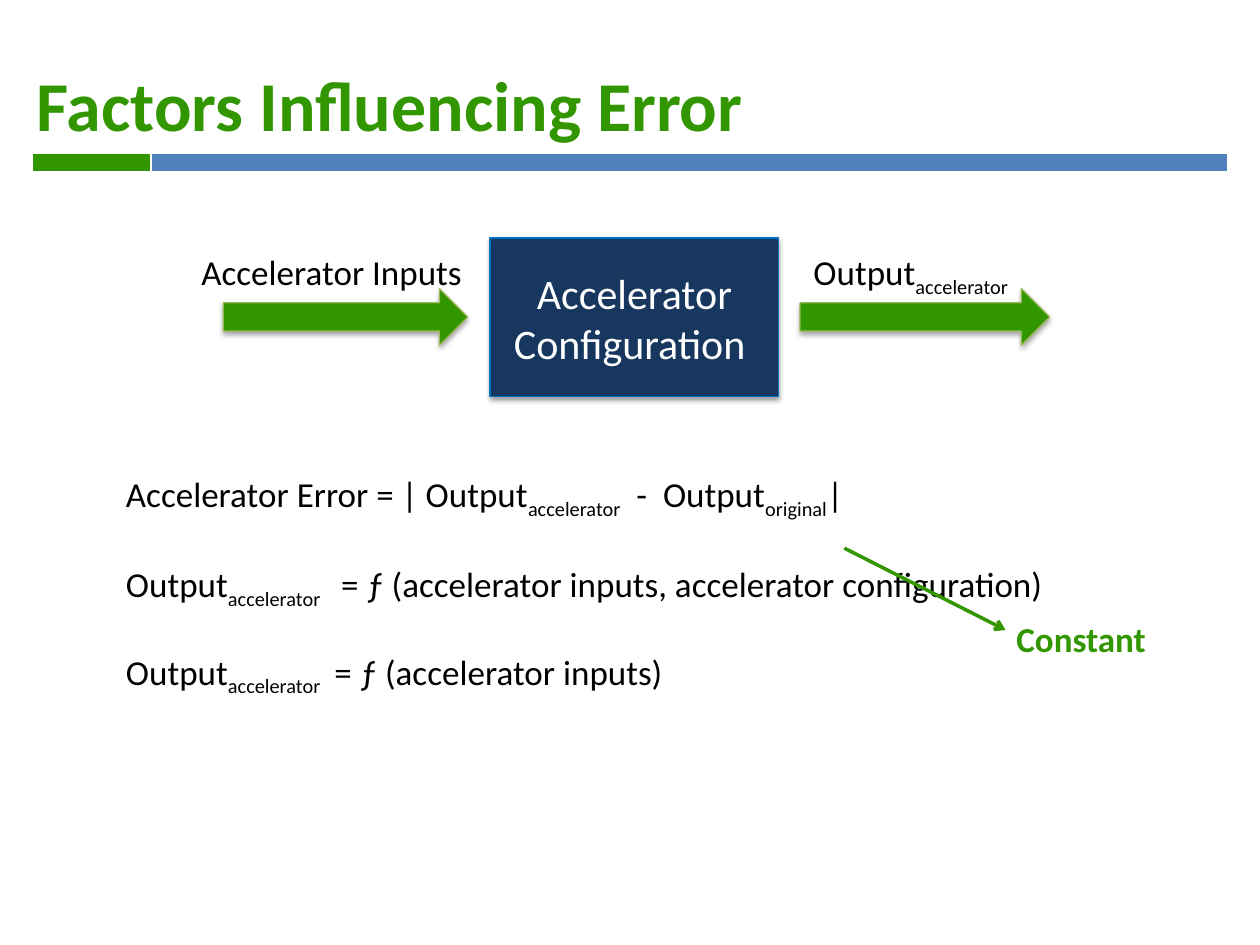
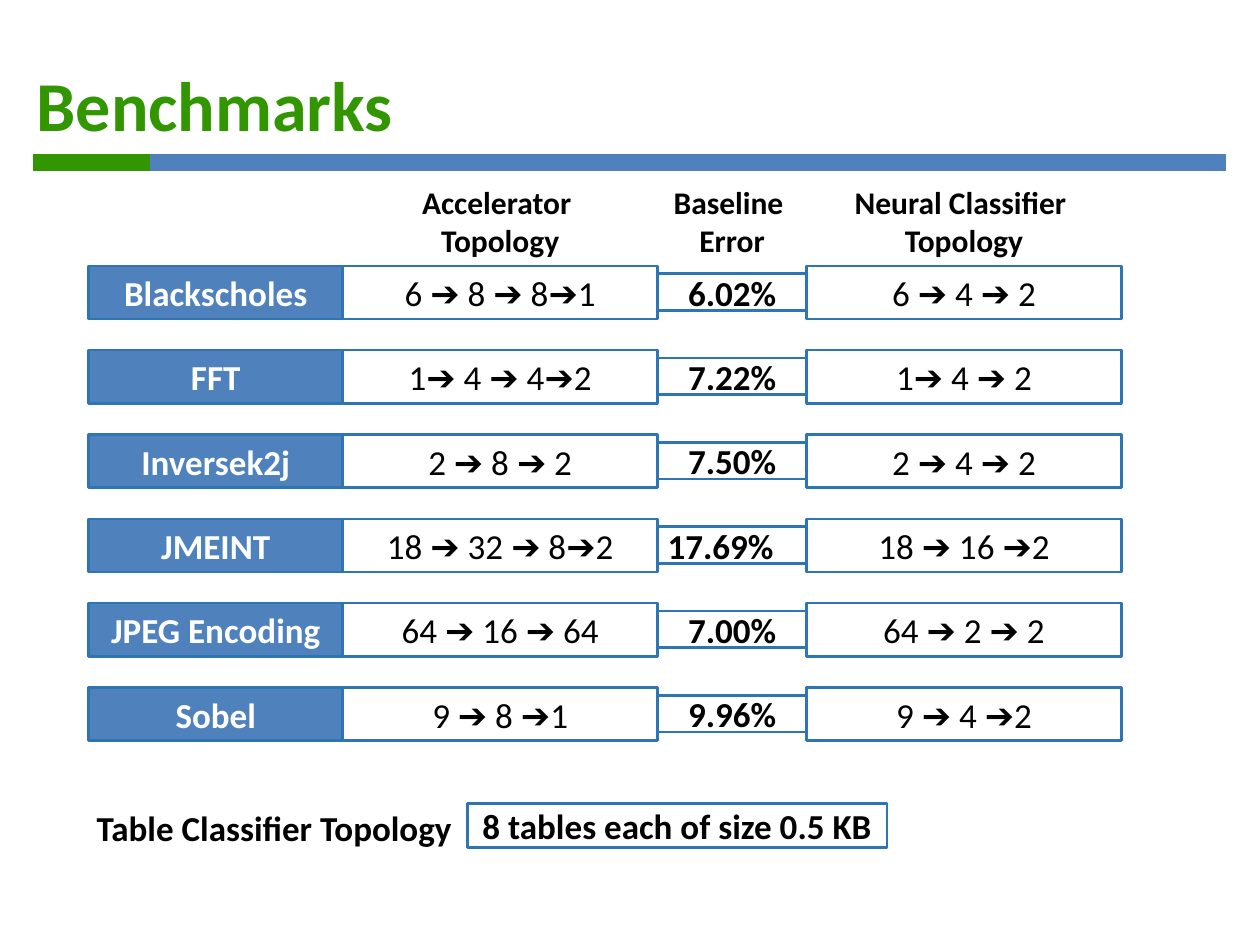
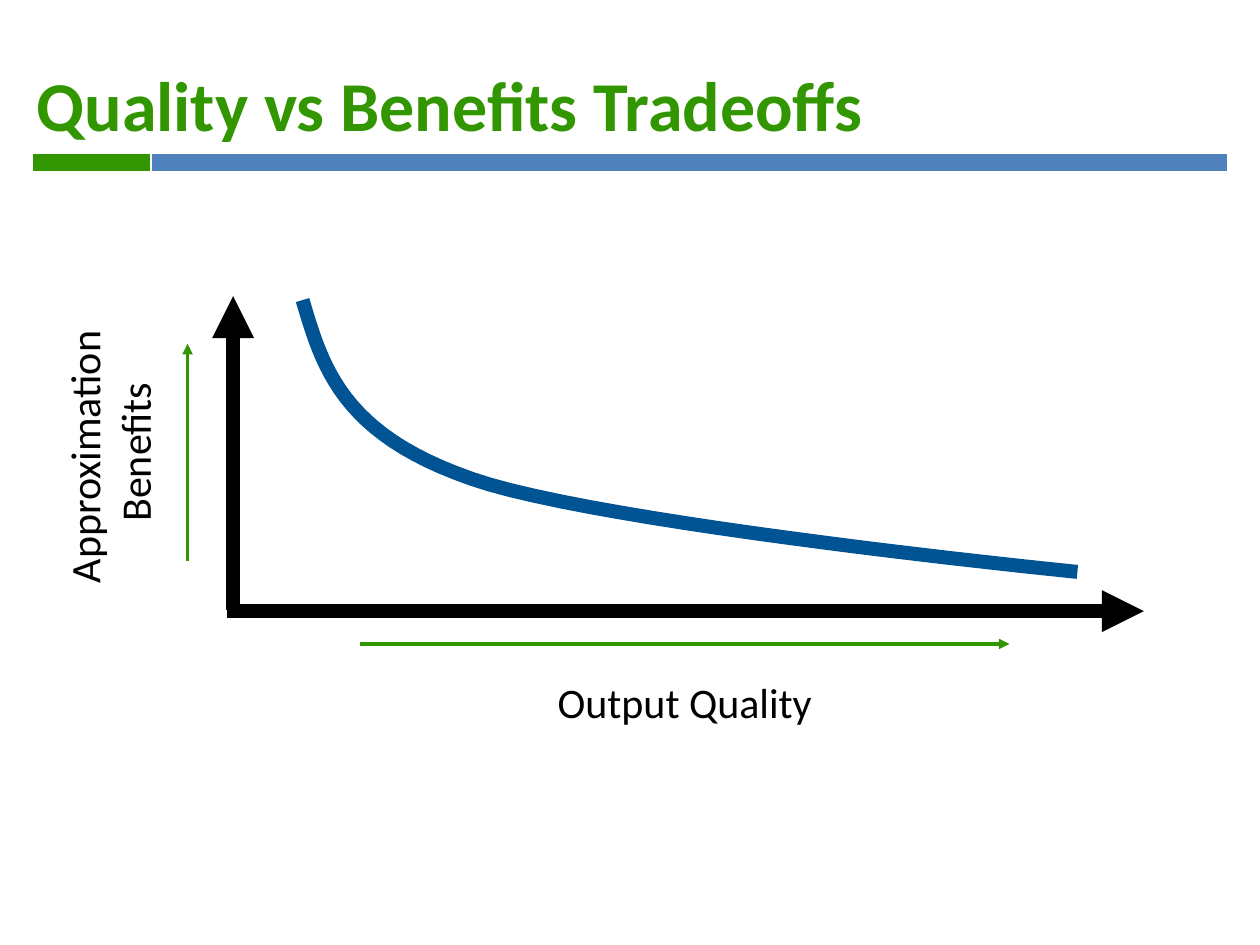
from lxml import etree
from pptx import Presentation
from pptx import util as u
from pptx.dml.color import RGBColor
from pptx.enum import shapes as kinds, text as tx
from pptx.oxml.ns import qn

FONT = "Calibri"
GREEN, BLUE, NAVY = "329600", "4F81BD", "17375E"
BLACK, WHITE, FRAME, CURVE = "000000", "FFFFFF", "2E75B6", "005493"
LEFT, CENTER = tx.PP_ALIGN.LEFT, tx.PP_ALIGN.CENTER
TOP, MIDDLE = tx.MSO_ANCHOR.TOP, tx.MSO_ANCHOR.MIDDLE
RECT, RIGHT_ARROW = kinds.MSO_SHAPE.RECTANGLE, kinds.MSO_SHAPE.RIGHT_ARROW

BENCHMARKS = [
    ("Blackscholes", "6 ➔ 8 ➔ 8➔1", "6.02%", "6 ➔ 4 ➔ 2"),
    ("FFT", "1➔ 4 ➔ 4➔2", "7.22%", "1➔ 4 ➔ 2"),
    ("Inversek2j", "2 ➔ 8 ➔ 2", "7.50%", "2 ➔ 4 ➔ 2"),
    ("JMEINT", "18 ➔ 32 ➔ 8➔2", "17.69%", "18 ➔ 16 ➔2"),
    ("JPEG Encoding", "64 ➔ 16 ➔ 64", "7.00%", "64 ➔ 2 ➔ 2"),
    ("Sobel", "9 ➔ 8 ➔1", "9.96%", "9 ➔ 4 ➔2"),
]
HEADERS = ["", "Accelerator \nTopology", "Baseline \nError", "Neural Classifier \nTopology"]
COLUMN_WIDTHS = [5.12, 6.35, 3, 6.35]


def paint(target, color):
    if hasattr(target, "solid"):
        target.solid()
        target.fore_color.rgb = RGBColor.from_string(color)
    else:
        target.rgb = RGBColor.from_string(color)


def style(paragraph, size, color, bold=False, align=LEFT):
    paragraph.alignment = align
    font = paragraph.font
    font.name, font.size, font.bold = FONT, u.Pt(size), bold
    paint(font.color, color)


def write(frame, content, size, color=BLACK, bold=False, align=LEFT, anchor=TOP, inset=None):
    frame.word_wrap = True
    frame.auto_size = tx.MSO_AUTO_SIZE.NONE
    frame.vertical_anchor = anchor
    if inset is not None:
        frame.margin_left = frame.margin_right = u.Cm(inset)
        frame.margin_top = frame.margin_bottom = u.Cm(inset)
    frame.text = content
    for paragraph in frame.paragraphs:
        style(paragraph, size, color, bold, align)


def label(slide, box, content, size=20, **look):
    caption = slide.shapes.add_textbox(*map(u.Cm, box))
    write(caption.text_frame, content, size, **look)
    return caption


def formula(slide, box, *lines):
    frame = label(slide, box, "\n".join("" for _ in lines)).text_frame
    for number, (paragraph, parts) in enumerate(zip(frame.paragraphs, lines)):
        if number:
            paragraph.space_before = u.Pt(24.4)
        for index, part in enumerate(parts):
            run = paragraph.add_run()
            run.text = part
            if index % 2:
                run._r.get_or_add_rPr().set("baseline", "-25000")


def block(shapes, box, fill, outline, weight, kind=RECT):
    shape = shapes.add_shape(kind, *map(u.Cm, box))
    shape.shadow.inherit = False
    paint(shape.fill, fill)
    paint(shape.line.fill, outline)
    shape.line.width = u.Pt(weight)
    return shape


def cast_shadow(shape, opacity, distance):
    effects = shape._element.spPr.find(qn("a:effectLst"))
    shadow = etree.SubElement(effects, qn("a:outerShdw"), blurRad=str(u.Pt(3.1)),
                              dist=str(u.Pt(distance)), dir="5400000", rotWithShape="0")
    color = etree.SubElement(shadow, qn("a:srgbClr"), val=BLACK)
    etree.SubElement(color, qn("a:alpha"), val=str(opacity * 1000))


def line(slide, start, end, color, weight, head=None):
    connector = slide.shapes.add_connector(
        kinds.MSO_CONNECTOR.STRAIGHT, *map(u.Cm, (*start, *end)))
    paint(connector.line.fill, color)
    connector.line.width = u.Pt(weight)
    if head:
        etree.SubElement(connector.line._get_or_add_ln(), qn("a:tailEnd"), type=head)
    etree.SubElement(connector._element.spPr, qn("a:effectLst"))


def titled_slide(deck, heading, title_width=21.44, band=(3.07, 24.74)):
    slide = deck.slides.add_slide(deck.slide_layouts[5])
    title = slide.shapes.title
    title.left, title.top, title.width, title.height = map(u.Cm, (0.66, 1.04, title_width, 2.08))
    write(title.text_frame, heading, 40, GREEN, True, anchor=MIDDLE, inset=0.08)
    line(slide, (band[0], 3.28), (band[1], 3.28), BLUE, 10)
    line(slide, (0.66, 3.28), (3.02, 3.28), GREEN, 10)
    return slide


def accelerator_flow(slide, left, top):
    unit = block(slide.shapes, (left + 6.07, top, 5.82, 3.2), NAVY, "0070C0", 0.75)
    cast_shadow(unit, 38, 1.6)
    write(unit.text_frame, "Accelerator Configuration ", 24, WHITE, align=CENTER, anchor=MIDDLE)
    for offset, width in ((0.69, 4.93), (12.32, 5.03)):
        flow = block(slide.shapes, (left + offset, top + 1.02, width, 1.14),
                     GREEN, "98B955", 0.75, RIGHT_ARROW)
        cast_shadow(flow, 35, 1.8)
    label(slide, (left, top + 0.13, 5.82, 1.12), "Accelerator Inputs")
    formula(slide, (left + 12.34, top + 0.13, 4.72, 1.12), ("Output", "accelerator"))


def error_equations(slide, left, top):
    formula(slide, (left, top, 21.16, 2.82),
            ("Accelerator Error = | Output", "accelerator", "  -  Output", "original", "|"),
            ("Output", "accelerator ",
             "  = ƒ (accelerator inputs, accelerator configuration)"))
    line(slide, (left + 14.73, top + 1.65), (left + 17.98, top + 3.3), GREEN, 2, "arrow")
    label(slide, (left + 17.95, top + 2.92, 3.18, 1.12), "Constant", color=GREEN, bold=True)
    formula(slide, (left, top + 3.58, 19.13, 1.12),
            ("Output", "accelerator   ", "= ƒ (accelerator inputs)"))


def cell(shapes, box, content, fill=WHITE, color=BLACK, bold=False, align=CENTER):
    frame = block(shapes, box, fill, FRAME, 1.5).text_frame
    write(frame, content, 20, color, bold, align, MIDDLE, 0.2)


def benchmark_grid(slide, left, top):
    lefts = [left + sum(COLUMN_WIDTHS[:column]) for column in range(len(COLUMN_WIDTHS))]
    for x, width, header in zip(lefts, COLUMN_WIDTHS, HEADERS):
        if header:
            label(slide, (x, top - 1.8, width, 1.8), header, 18, bold=True, align=CENTER)
    for number, (name, topology, error, classifier) in enumerate(BENCHMARKS):
        y = top + number * 1.7
        row = slide.shapes.add_group_shape().shapes
        full = [(x, y, width, 1.07) for x, width in zip(lefts, COLUMN_WIDTHS)]
        cell(row, full[1], topology)
        cell(row, full[0], name, BLUE, WHITE, True)
        cell(row, (lefts[2], y + 0.16, COLUMN_WIDTHS[2], 0.74), error, bold=True,
             align=LEFT if len(error) > 5 else CENTER)
        cell(row, full[3], classifier)


def table_classifier(slide, left, top):
    label(slide, (left, top, 7.75, 1.12), "Table Classifier Topology", bold=True)
    cell(slide.shapes, (left + 7.72, top + 0.07, 8.46, 0.89),
         "8 tables each of size 0.5 KB", bold=True)


def bezier(points, steps=24):
    for step in range(steps + 1):
        t = step / steps
        weights = ((1 - t) ** 3, 3 * t * (1 - t) ** 2, 3 * t * t * (1 - t), t ** 3)
        yield tuple(sum(w * point[axis] for w, point in zip(weights, points)) for axis in (0, 1))


def tradeoff_graph(slide, left, top):
    def at(x, y):
        return left + x, top + y

    label(slide, (*at(4.32, 7.7), 9.83, 0.94), "Output Quality", 24, align=CENTER, anchor=MIDDLE)
    benefits = label(slide, (*at(-5.31, 2.41), 5.87, 1.47), "Approximation \vBenefits", 24,
                     align=CENTER, anchor=MIDDLE)
    benefits.rotation = 270
    line(slide, at(0.13, 6.32), at(0.13, 0), BLACK, 8, "triangle")
    line(slide, at(0, 6.35), at(18.49, 6.35), BLACK, 8, "triangle")
    steep = [at(1.53, 0.08), at(1.93, 1.42), at(2.31, 2.77), at(4.93, 3.68)]
    flat = [steep[-1], at(7.52, 4.6), at(17.15, 5.56), at(17.15, 5.56)]
    start, *rest = [*bezier(steep), *list(bezier(flat))[1:]]
    builder = slide.shapes.build_freeform(*map(u.Cm, start))
    builder.add_line_segments([tuple(map(u.Cm, point)) for point in rest], close=False)
    curve = builder.convert_to_shape()
    curve.shadow.inherit = False
    curve.fill.background()
    paint(curve.line.fill, CURVE)
    curve.line.width = u.Pt(8)
    line(slide, at(2.69, 7.01), at(15.78, 7.01), GREEN, 2, "triangle")
    line(slide, at(-0.79, 5.33), at(-0.79, 0.96), GREEN, 2, "triangle")


def main():
    deck = Presentation()
    deck.slide_width, deck.slide_height = u.Cm(25.4), u.Cm(19.05)

    factors = titled_slide(deck, "Factors Influencing Error")
    accelerator_flow(factors, 3.81, 4.8)
    error_equations(factors, 2.29, 9.4)

    benchmarks = titled_slide(deck, "Benchmarks", 24.1, (3.02, 24.71))
    benchmark_grid(benchmarks, 1.79, 5.36)
    table_classifier(benchmarks, 1.7, 16.13)

    tradeoffs = titled_slide(deck, "Quality vs Benefits Tradeoffs")
    tradeoff_graph(tradeoffs, 4.57, 5.97)

    deck.save("out.pptx")


if __name__ == "__main__":
    main()
